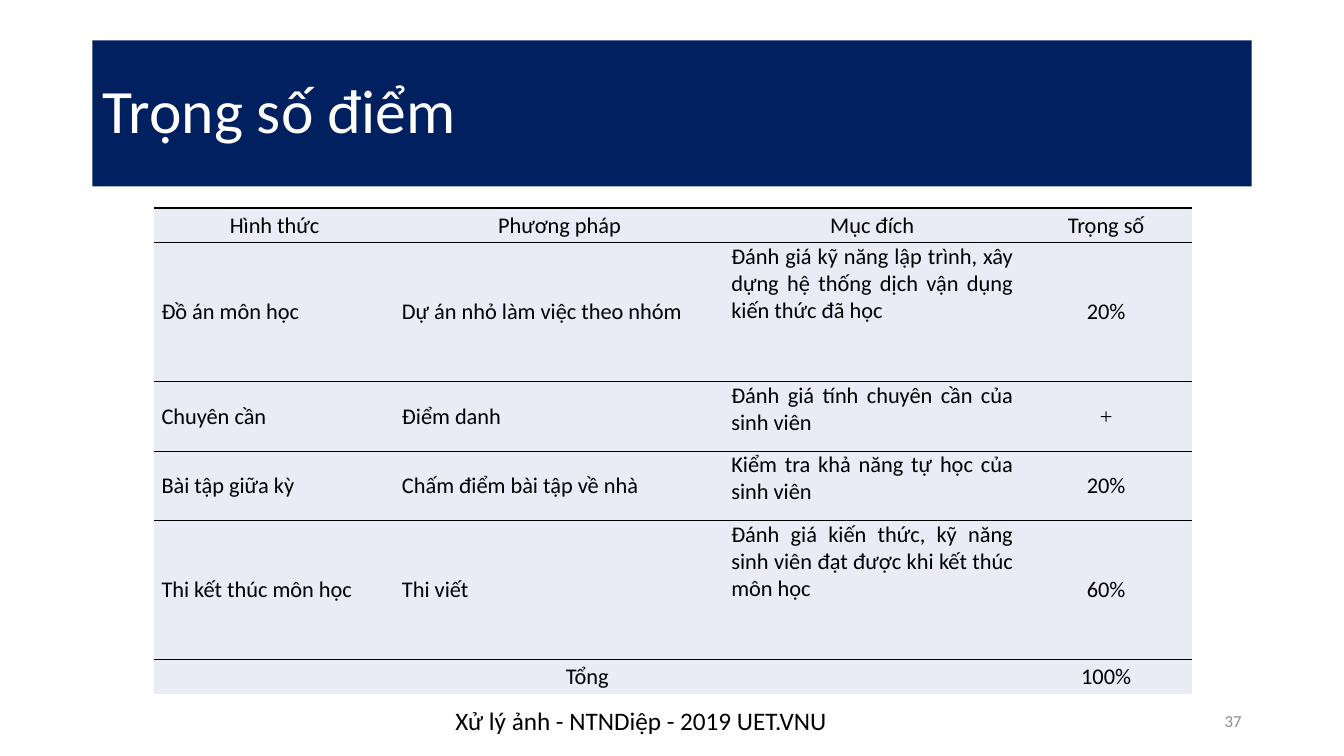
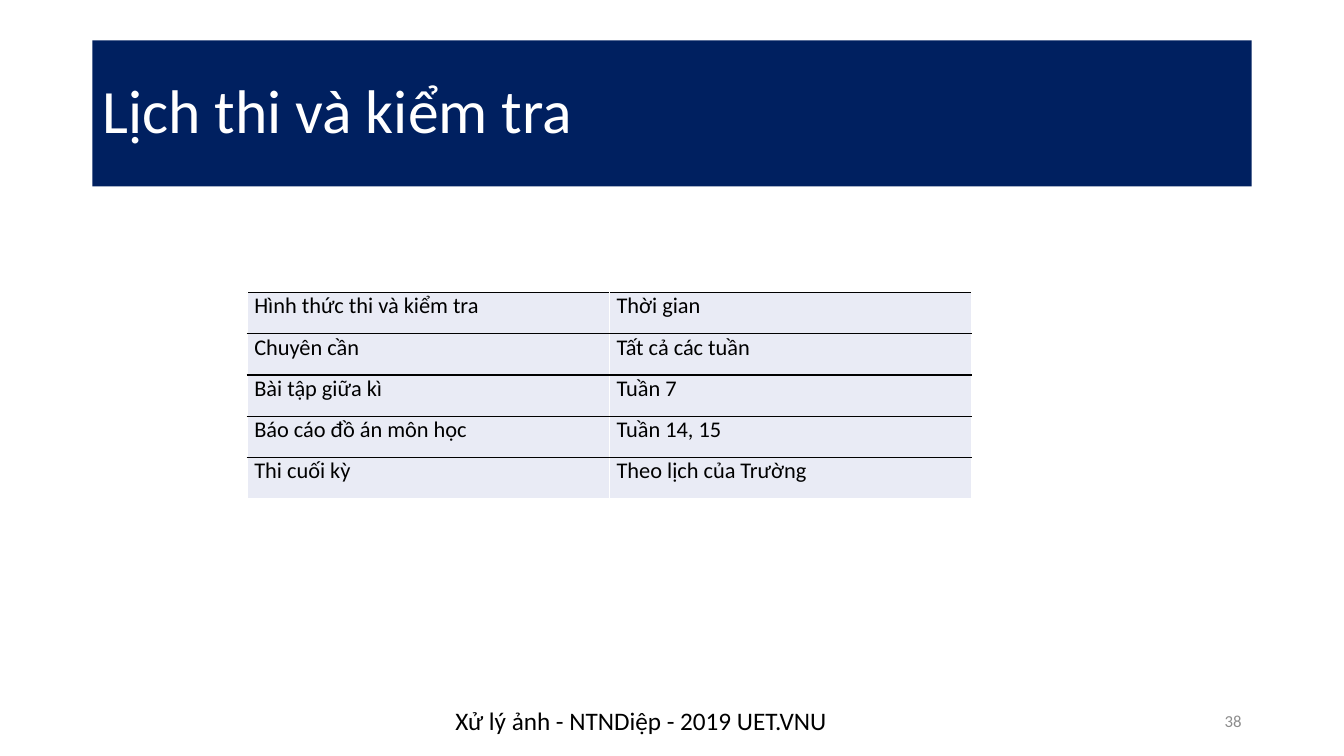
from dataclasses import dataclass

from lxml.etree import SubElement
from pptx import Presentation
from pptx.dml.color import RGBColor as Color
from pptx.enum.text import MSO_ANCHOR as Anchor, PP_ALIGN as Align
from pptx.oxml.ns import qn
from pptx.util import Cm, Pt


@dataclass(frozen=True)
class Theme:
    navy: Color = Color.from_string("002060")
    white: Color = Color.from_string("FFFFFF")
    black: Color = Color.from_string("000000")
    grey: Color = Color.from_string("8C8C8C")
    cell: Color = Color.from_string("E9EBF5")
    font: str = "Calibri"
    symbol_font: str = "Times New Roman"
    title_size: int = 44
    footer_size: int = 18
    table_size: int = 16
    number_size: int = 12


class Deck:
    FOOTER = "Xử lý ảnh - NTNDiệp - 2019 UET.VNU"
    FOOTER_TOP, FOOTER_HEIGHT = 17.65, 1.02

    def __init__(self, theme, first_number):
        self.theme = theme
        self.number = first_number
        self.presentation = Presentation()
        self.presentation.slide_width = Cm(33.87)
        self.presentation.slide_height = Cm(19.05)
        self.slide = None

    def add_slide(self, title):
        layout = self.presentation.slide_layouts.get_by_name("Title Only")
        self.slide = self.presentation.slides.add_slide(layout)
        self.title(title)
        self.footer()
        self.number += 1

    def add_text(self, frame, text, size, color, align=Align.LEFT, font=None):
        paragraph = frame.paragraphs[0]
        paragraph.alignment = align
        run = paragraph.add_run()
        run.text = text
        run.font.name = font or self.theme.font
        run.font.size = Pt(size)
        run.font.color.rgb = color
        return paragraph

    def title(self, text):
        shape = self.slide.shapes.title
        shape.left, shape.top = Cm(2.33), Cm(1.02)
        shape.width, shape.height = Cm(29.21), Cm(3.68)
        shape.fill.solid()
        shape.fill.fore_color.rgb = self.theme.navy
        shape.text_frame.vertical_anchor = Anchor.MIDDLE
        paragraph = self.add_text(shape.text_frame, text, self.theme.title_size,
                                  self.theme.white)
        paragraph.line_spacing = 0.9

    def text_box(self, left, width, text, size, color, align, anchor):
        shape = self.slide.shapes.add_textbox(
            Cm(left), Cm(self.FOOTER_TOP), Cm(width), Cm(self.FOOTER_HEIGHT))
        shape.text_frame.word_wrap = True
        shape.text_frame.vertical_anchor = anchor
        self.add_text(shape.text_frame, text, size, color, align)

    def footer(self):
        theme = self.theme
        self.text_box(11.23, 11.43, self.FOOTER, theme.footer_size, theme.black,
                      Align.LEFT, Anchor.TOP)
        self.text_box(23.92, 7.62, str(self.number), theme.number_size, theme.grey,
                      Align.RIGHT, Anchor.MIDDLE)

    def border(self, cell, side, color):
        properties = cell._tc.get_or_add_tcPr()
        line = SubElement(properties, qn(f"a:ln{side}"), w=str(Pt(1)))
        if color is None:
            SubElement(line, qn("a:noFill"))
        else:
            fill = SubElement(line, qn("a:solidFill"))
            SubElement(fill, qn("a:srgbClr"), val=str(color))

    def table(self, left, top, widths, heights, rows, style, edge=None):
        """style(row, column) gives alignment and anchor; edge colours the sides and base."""
        theme = self.theme
        table = self.slide.shapes.add_table(
            len(rows), len(widths), Cm(left), Cm(top),
            Cm(sum(widths)), Cm(sum(heights))).table
        table.first_row = table.horz_banding = False
        for column, width in zip(table.columns, widths):
            column.width = Cm(width)
        for row, height in zip(table.rows, heights):
            row.height = Cm(height)
        for r, texts in enumerate(rows):
            base = edge if r == len(rows) - 1 else theme.black
            for c, text in enumerate(texts):
                cell = table.cell(r, c)
                cell.margin_left = cell.margin_right = Cm(0.18)
                cell.margin_top = cell.margin_bottom = 0
                for side, color in zip("LRTB", (edge, edge, theme.black, base)):
                    self.border(cell, side, color)
                cell.fill.solid()
                cell.fill.fore_color.rgb = theme.cell
                align, cell.vertical_anchor = style(r, c)
                if text:
                    font = theme.symbol_font if text == "+" else theme.font
                    self.add_text(cell.text_frame, text, theme.table_size, theme.black,
                                  align, font)
        return table


# Table contents
WEIGHTS = [
    ("Hình thức", "Phương pháp", "Mục đích", "Trọng số"),
    ("Đồ án môn học", "Dự án nhỏ làm việc theo nhóm",
     "Đánh giá kỹ năng lập trình, xây dựng hệ thống dịch vận dụng kiến thức đã học", "20%"),
    ("Chuyên cần", "Điểm danh", "Đánh giá tính chuyên cần của sinh viên", "+"),
    ("Bài tập giữa kỳ", "Chấm điểm bài tập về nhà",
     "Kiểm tra khả năng tự học của sinh viên", "20%"),
    ("Thi kết thúc môn học", "Thi viết",
     "Đánh giá kiến thức, kỹ năng sinh viên đạt được khi kết thúc môn học", "60%"),
    ("Tổng", "", "", "100%"),
]
SCHEDULE = [
    ("Hình thức thi và kiểm tra", "Thời gian"),
    ("Chuyên cần", "Tất cả các tuần"),
    ("Bài tập giữa kì", "Tuần 7"),
    ("Báo cáo đồ án môn học", "Tuần 14, 15"),
    ("Thi cuối kỳ", "Theo lịch của Trường"),
]


def weight_style(row, column):
    if row in (0, len(WEIGHTS) - 1):
        return Align.CENTER, Anchor.MIDDLE
    aligns = (Align.JUSTIFY, Align.LEFT, Align.JUSTIFY, Align.CENTER)
    return aligns[column], Anchor.TOP if column == 2 else Anchor.MIDDLE


def schedule_style(row, column):
    return Align.JUSTIFY, Anchor.TOP


def main():
    theme = Theme()
    deck = Deck(theme, first_number=37)

    # Grade weights
    deck.add_slide("Trọng số điểm")
    weights = deck.table(3.89, 5.24, (6.06, 8.3, 7.46, 4.33),
                         (0.88, 3.5, 1.75, 1.75, 3.5, 0.88), WEIGHTS, weight_style)
    weights.cell(5, 0).merge(weights.cell(5, 2))

    # Exam schedule
    deck.add_slide("Lịch thi và kiểm tra")
    deck.table(6.23, 7.37, (9.13, 9.13), [1.04] * len(SCHEDULE), SCHEDULE,
               schedule_style, edge=theme.white)

    deck.presentation.save("out.pptx")


if __name__ == "__main__":
    main()
